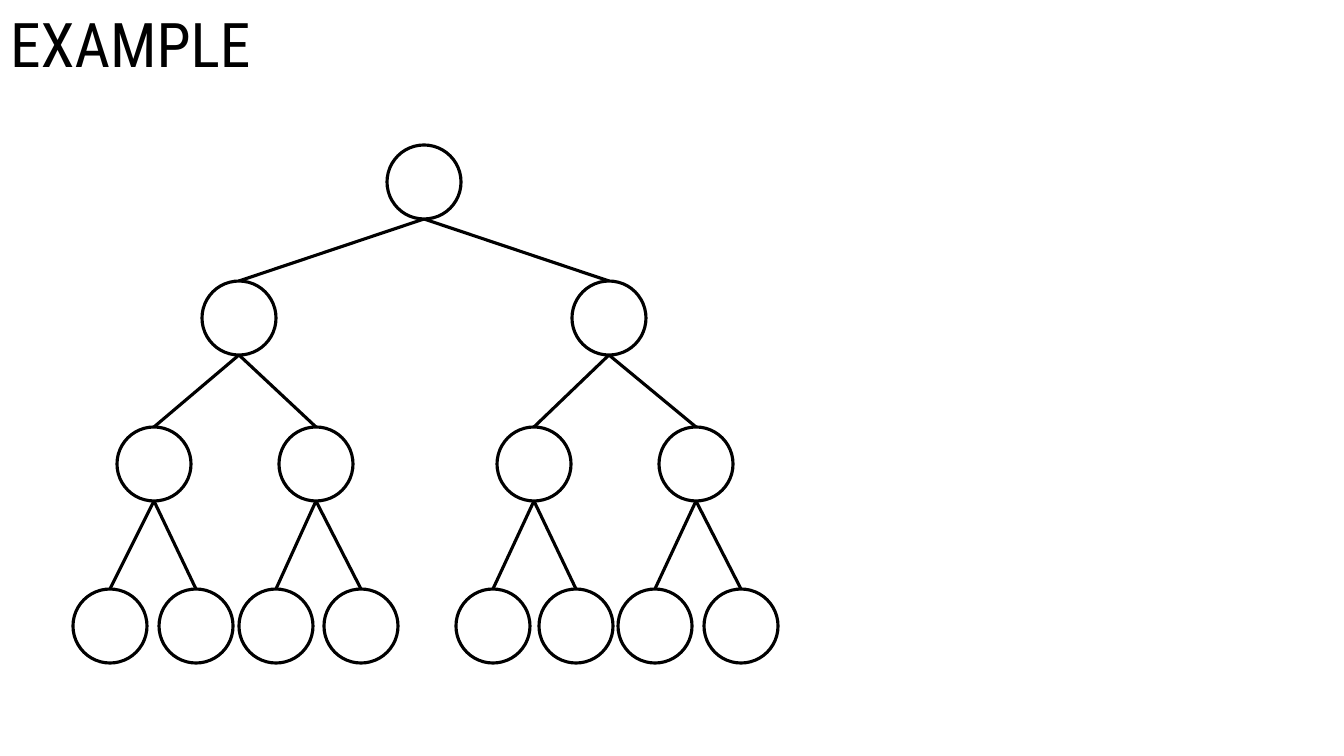
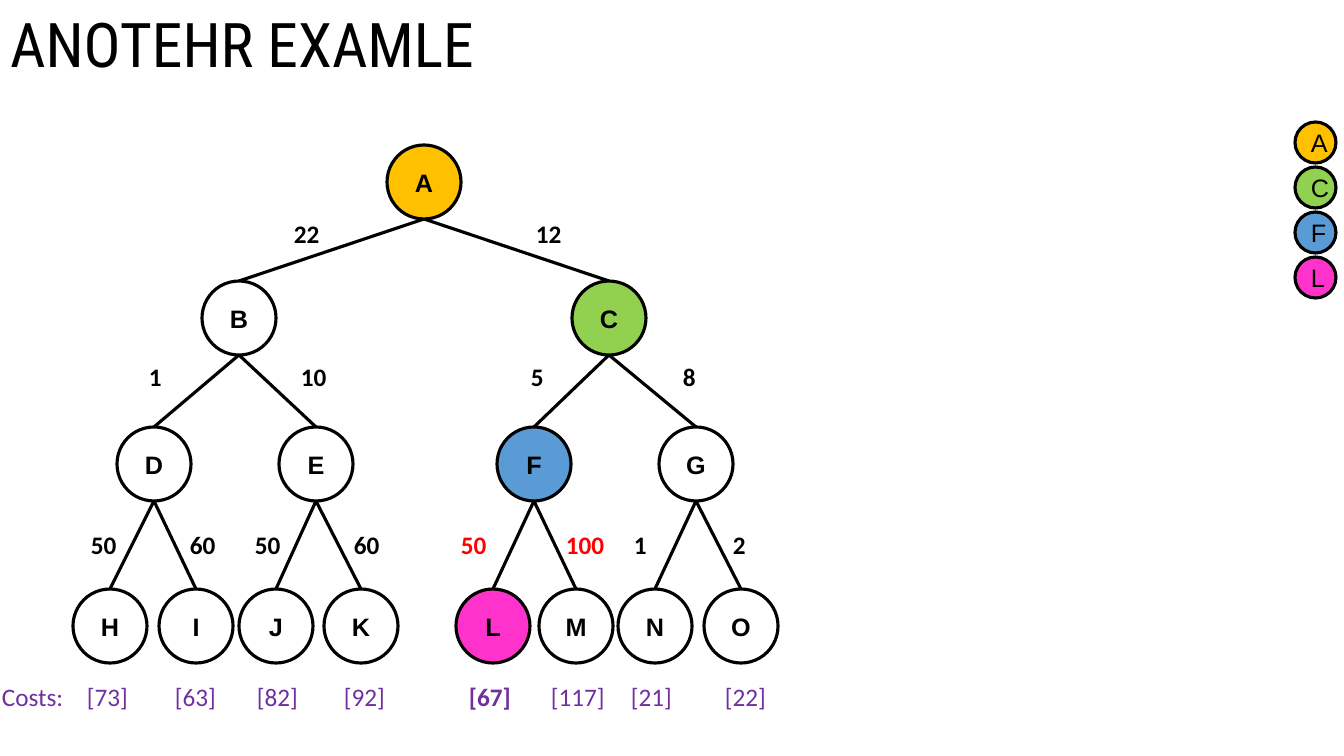
from collections import namedtuple

from pptx import Presentation
from pptx.dml.color import RGBColor
from pptx.enum.shapes import MSO_CONNECTOR, MSO_SHAPE
from pptx.enum.text import MSO_ANCHOR, MSO_AUTO_SIZE, PP_ALIGN
from pptx.oxml.ns import qn
from pptx.util import Pt
from lxml.etree import SubElement

Box = namedtuple("Box", "left top width height")

PIXEL = 914400 / 100.8
COLORS = {
    "ink": "000000", "paper": "FFFFFF", "highlight": "FF0000", "cost": "7030A0",
    "A": "FFC000", "C": "92D050", "F": "5B9BD5", "L": "FF33CC",
}
TITLE_FONT, NODE_FONT, LABEL_FONT = "Roboto Condensed", "Arial", "Calibri"
TEXT_SIZE, TITLE_SIZE, LINE_WIDTH = Pt(18), Pt(44), Pt(2.25)

TITLE_BOX = Box(0, 0, 1159, 95)
TREE_BOX = Box(73, 145, 705, 518)
PATH_BOX = Box(1295, 122, 41, 176)

NODE_NAMES = "ABCDEFGHIJKLMNO"
NODE_SIZE = 74
NODE_CENTERS = [351, 166, 536, 81, 243, 461, 623, 37, 123, 203, 288, 420, 503, 582, 668]
LEVEL_TOPS = [0, 136, 282, 444]

WEIGHT_TOPS = [68, 211, 379]
WEIGHTS = {
    "B": (211, "22"), "C": (453, "12"),
    "D": (66, "1"), "E": (218, "10"), "F": (448, "5"), "G": (600, "8"),
    "H": (8, "50"), "I": (107, "60"), "J": (172, "50"), "K": (271, "60"),
    "L": (378, "50"), "M": (483, "100"), "N": (551, "1"), "O": (650, "2"),
}
COST_TOP = 531
COSTS = {
    "H": (4, 73), "I": (92, 63), "J": (174, 82), "K": (261, 92),
    "L": (386, 67), "M": (468, 117), "N": (548, 21), "O": (642, 22),
}
VISITED = "ACFL"
GOAL = "L"


def emu(*pixels):
    return [round(pixel * PIXEL) for pixel in pixels]


def color(name):
    return RGBColor.from_string(COLORS[name])


def style_font(para, name, size, ink="ink", bold=False):
    para.font.name = name
    para.font.size = size
    para.font.bold = bold
    para.font.color.rgb = color(ink)


def add_title(page, box, text):
    title = page.shapes.title
    title.left, title.top, title.width, title.height = emu(*box)
    frame = title.text_frame
    frame.text = text
    frame.auto_size = MSO_AUTO_SIZE.NONE
    frame.vertical_anchor = MSO_ANCHOR.MIDDLE
    para = frame.paragraphs[0]
    para.alignment = PP_ALIGN.LEFT
    para.line_spacing = 0.9
    style_font(para, TITLE_FONT, TITLE_SIZE)


def add_circle(page, box, fill="paper", text="", bold=False):
    circle = page.shapes.add_shape(MSO_SHAPE.OVAL, *emu(*box))
    circle.shadow.inherit = False
    circle.fill.solid()
    circle.fill.fore_color.rgb = color(fill)
    circle.line.color.rgb = color("ink")
    circle.line.width = LINE_WIDTH
    if text:
        frame = circle.text_frame
        frame.text = text
        frame.vertical_anchor = MSO_ANCHOR.MIDDLE
        para = frame.paragraphs[0]
        para.alignment = PP_ALIGN.CENTER
        style_font(para, NODE_FONT, TEXT_SIZE, bold=bold)


def add_edge(page, start, end):
    edge = page.shapes.add_connector(MSO_CONNECTOR.STRAIGHT, *emu(*start, *end))
    edge.line.color.rgb = color("ink")
    edge.line.width = LINE_WIDTH
    SubElement(edge._element.spPr, qn("a:effectLst"))


def add_label(page, box, text, ink="ink", bold=False):
    label = page.shapes.add_textbox(*emu(*box))
    frame = label.text_frame
    frame.word_wrap = False
    frame.auto_size = MSO_AUTO_SIZE.SHAPE_TO_FIT_TEXT
    frame.text = text
    style_font(frame.paragraphs[0], LABEL_FONT, TEXT_SIZE, ink, bold)


def node_level(index):
    return (index + 1).bit_length() - 1


def add_tree(page, box, labelled=False):
    nodes = [
        (box.left + center, box.top + LEVEL_TOPS[node_level(index)])
        for index, center in enumerate(NODE_CENTERS)
    ]
    for index in range(1, len(nodes)):
        parent_x, parent_top = nodes[(index - 1) // 2]
        add_edge(page, (parent_x, parent_top + NODE_SIZE), nodes[index])
    for name, (x, top) in zip(NODE_NAMES, nodes):
        circle = Box(x - NODE_SIZE / 2, top, NODE_SIZE, NODE_SIZE)
        if labelled:
            add_circle(page, circle, name if name in VISITED else "paper", name, True)
        else:
            add_circle(page, circle)


def add_weights(page, box):
    for name, (left, weight) in WEIGHTS.items():
        top = WEIGHT_TOPS[node_level(NODE_NAMES.index(name)) - 1]
        place = Box(box.left + left, box.top + top, 20 + 13 * len(weight), 40)
        add_label(page, place, weight, "highlight" if name in "LM" else "ink", True)


def add_costs(page, box):
    top = box.top + COST_TOP
    add_label(page, Box(box.left - 81, top, 88, 40), "Costs:", "cost")
    for name, (left, cost) in COSTS.items():
        place = Box(box.left + left, top, 36 + 13 * len(str(cost)), 40)
        add_label(page, place, f"[{cost}]", "cost", name == GOAL)


def add_visited_path(page, box):
    pitch = (box.height - box.width) / (len(VISITED) - 1)
    for step, name in enumerate(VISITED):
        place = Box(box.left, box.top + step * pitch, box.width, box.width)
        add_circle(page, place, name, name)


def add_page(deck, title):
    page = deck.slides.add_slide(deck.slide_layouts[5])
    add_title(page, TITLE_BOX, title)
    return page


def build_plain_tree(deck):
    page = add_page(deck, "EXAMPLE")
    add_tree(page, TREE_BOX)


def build_weighted_tree(deck):
    page = add_page(deck, "ANOTEHR EXAMLE")
    add_tree(page, TREE_BOX, labelled=True)
    add_weights(page, TREE_BOX)
    add_costs(page, TREE_BOX)
    add_visited_path(page, PATH_BOX)


deck = Presentation()
deck.slide_width, deck.slide_height = emu(1344, 756)
build_plain_tree(deck)
build_weighted_tree(deck)
deck.save("out.pptx")
